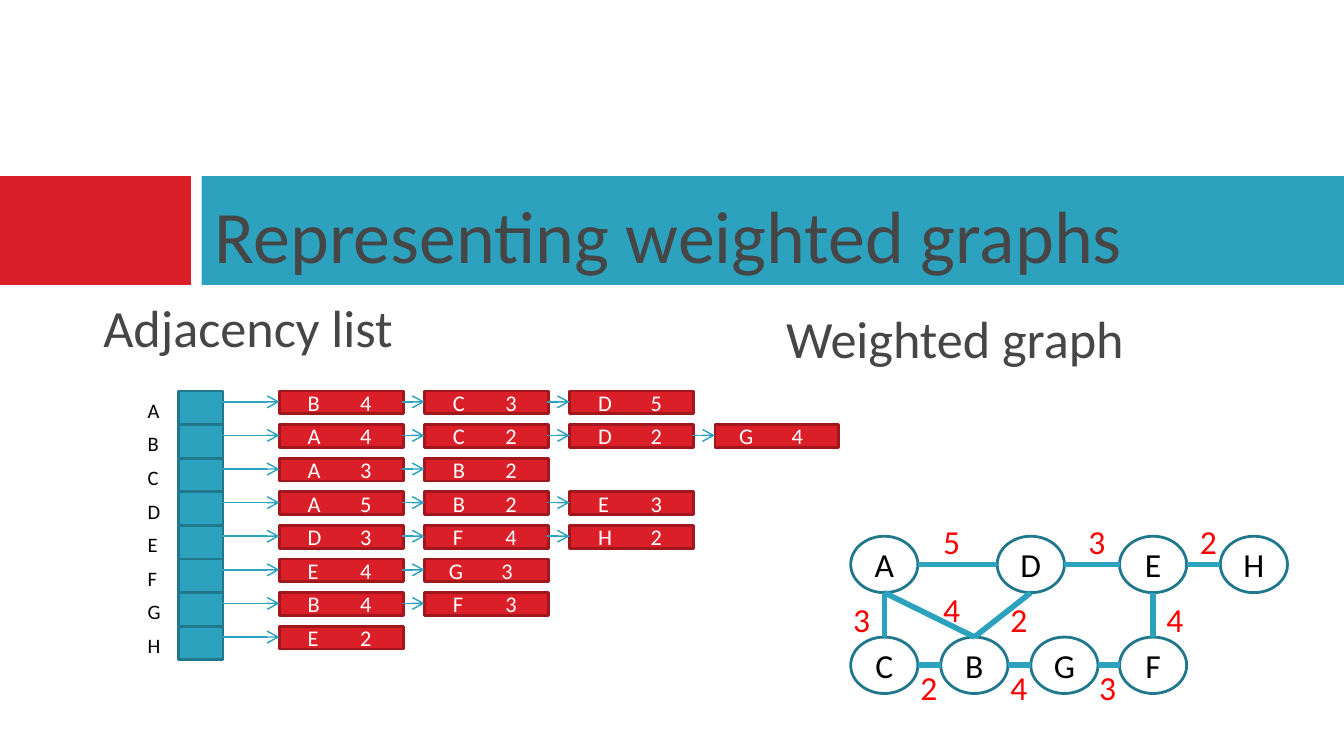
from dataclasses import dataclass

from pptx import Presentation
from pptx.dml.color import RGBColor
from pptx.enum.shapes import MSO_CONNECTOR, MSO_SHAPE
from pptx.enum.text import MSO_ANCHOR, PP_ALIGN
from pptx.oxml.ns import qn
from pptx.util import Inches, Pt
from lxml.etree import SubElement


@dataclass(frozen=True)
class Theme:
    """Colours, font and type sizes of the slide."""
    font: str = "Calibri"
    red: str = "DA1F28"
    rust: str = "A1171E"
    teal: str = "2DA2BF"
    deep: str = "21788D"
    gray: str = "464646"
    black: str = "000000"
    white: str = "FFFFFF"
    mark: str = "FF0000"
    title: float = 39.6
    head: float = 28
    node: float = 18
    item: float = 12
    key: float = 11


THEME = Theme()
LISTS = {
    "A": ["B4", "C3", "D5"],
    "B": ["A4", "C2", "D2", "G4"],
    "C": ["A3", "B2"],
    "D": ["A5", "B2", "E3"],
    "E": ["D3", "F4", "H2"],
    "F": ["E4", "G3"],
    "G": ["B4", "F3"],
    "H": ["E2"],
}
NODES = {
    "A": (0.08, 0.16), "D": (1.17, 0.16), "E": (2.08, 0.16), "H": (2.83, 0.16),
    "C": (0.08, 0.91), "B": (0.75, 0.91), "G": (1.42, 0.91), "F": (2.08, 0.91),
}
EDGES = [
    ("AD", "5", 0.67, 0), ("DE", "3", 1.75, 0), ("EH", "2", 2.58, 0),
    ("AC", "3", 0, 0.58), ("EF", "4", 2.33, 0.58), ("CB", "2", 0.5, 1.08),
    ("BG", "4", 1.17, 1.08), ("GF", "3", 1.83, 1.08),
    ("AB", "4", 0.67, 0.5), ("DB", "2", 1.17, 0.58),
]


def color(code):
    """Turn a hex code into a colour."""
    return RGBColor.from_string(code)


def write(shape, text, size, ink):
    """Put one styled paragraph in a shape and return it."""
    para = shape.text_frame.paragraphs[0]
    para.text = text
    para.font.name = THEME.font
    para.font.size = Pt(size)
    para.font.color.rgb = color(ink)
    return para


def label(slide, box, text, size, ink):
    """Add a wrapping text box."""
    shape = slide.shapes.add_textbox(*map(Inches, box))
    shape.text_frame.word_wrap = True
    write(shape, text, size, ink)
    return shape


def block(slide, kind, box, fill=None, edge=None):
    """Add a flat shape with optional fill and outline."""
    shape = slide.shapes.add_shape(kind, *map(Inches, box))
    shape.shadow.inherit = False
    if fill:
        shape.fill.solid()
        shape.fill.fore_color.rgb = color(fill)
    else:
        shape.fill.background()
    if edge:
        shape.line.color.rgb = color(edge)
        shape.line.width = Pt(1.5)
    else:
        shape.line.fill.background()
    frame = shape.text_frame
    frame.margin_left = frame.margin_right = 0
    frame.margin_top = frame.margin_bottom = 0
    frame.vertical_anchor = MSO_ANCHOR.MIDDLE
    return shape


def link(slide, start, end, width, arrow=False):
    """Draw a straight line between two points."""
    line = slide.shapes.add_connector(
        MSO_CONNECTOR.STRAIGHT, *map(Inches, (*start, *end)))
    line.line.color.rgb = color(THEME.teal)
    line.line.width = Pt(width)
    if arrow:
        SubElement(line.line._get_or_add_ln(), qn("a:tailEnd"), type="arrow")
    SubElement(line._element.spPr, qn("a:effectLst"))


def banner(slide, left, top, width, height):
    """Draw the title band with its red tab."""
    start = left + 1.5
    block(slide, MSO_SHAPE.RECTANGLE, (left, top, 1.42, height), THEME.red)
    block(slide, MSO_SHAPE.RECTANGLE,
          (start, top, width - 1.5, height), THEME.teal)
    title = label(slide, (start, top, 8.33, height),
                  "Representing weighted graphs", THEME.title, THEME.gray)
    title.text_frame.vertical_anchor = MSO_ANCHOR.BOTTOM


def entry(slide, left, top, item):
    """Draw one list entry: a vertex and its weight."""
    shape = block(slide, MSO_SHAPE.RECTANGLE, (left, top, 0.92, 0.17),
                  THEME.red, THEME.rust)
    shape.text_frame.margin_left = Inches(0.18 if item[0] == "G" else 0.21)
    para = write(shape, "\t".join(item), THEME.item, THEME.white)
    para.alignment = PP_ALIGN.LEFT
    tabs = SubElement(para._p.get_or_add_pPr(), qn("a:tabLst"))
    para._p.pPr.insert(0, tabs)
    SubElement(tabs, qn("a:tab"), pos=str(Inches(0.39)), algn="l")


def lists(slide, left, top, pitch=0.25, step=1.08):
    """Draw the adjacency list, one row for each vertex."""
    for row, (key, items) in enumerate(LISTS.items()):
        y = top + row * pitch
        mid = y + 0.08
        block(slide, MSO_SHAPE.RECTANGLE, (left + 0.33, y, 0.33, pitch),
              THEME.teal, THEME.deep)
        label(slide, (left, y, 0.33, 0.29), key, THEME.key, THEME.black)
        for col, item in enumerate(items):
            x = left + 1.08 + col * step
            tail = x - 0.17 if col else left + 0.5
            entry(slide, x, y, item)
            link(slide, (tail, mid), (x, mid), 0.79, True)


def graph(slide, left, top, width=0.5, height=0.42):
    """Draw the weighted graph with its vertices and edges."""
    spots = {key: (left + x, top + y) for key, (x, y) in NODES.items()}
    for key, spot in spots.items():
        shape = block(slide, MSO_SHAPE.OVAL, (*spot, width, height),
                      edge=THEME.deep)
        para = write(shape, key, THEME.node, THEME.black)
        para.alignment = PP_ALIGN.CENTER
    for (one, two), weight, x, y in EDGES:
        (ax, ay), (bx, by) = spots[one], spots[two]
        if ay == by:
            start, end = (ax + width, ay + height / 2), (bx, by + height / 2)
        else:
            start, end = (ax + width / 2, ay + height), (bx + width / 2, by)
        link(slide, start, end, 3)
        label(slide, (left + x, top + y, 0.33, 0.4), weight,
              THEME.node, THEME.mark)


def main():
    """Build and save the slide."""
    deck = Presentation()
    deck.slide_width = Inches(10)
    deck.slide_height = deck.slide_width * 9 // 16
    slide = deck.slides.add_slide(deck.slide_layouts[6])
    banner(slide, 0, 1.31, 10, 0.81)
    label(slide, (0.67, 2.15, 4.25, 0.58), "Adjacency list",
          THEME.head, THEME.gray)
    label(slide, (5.75, 2.23, 4.25, 0.58), "Weighted graph",
          THEME.head, THEME.gray)
    lists(slide, 1, 2.91)
    graph(slide, 6.25, 3.83)
    deck.save("out.pptx")


if __name__ == "__main__":
    main()
